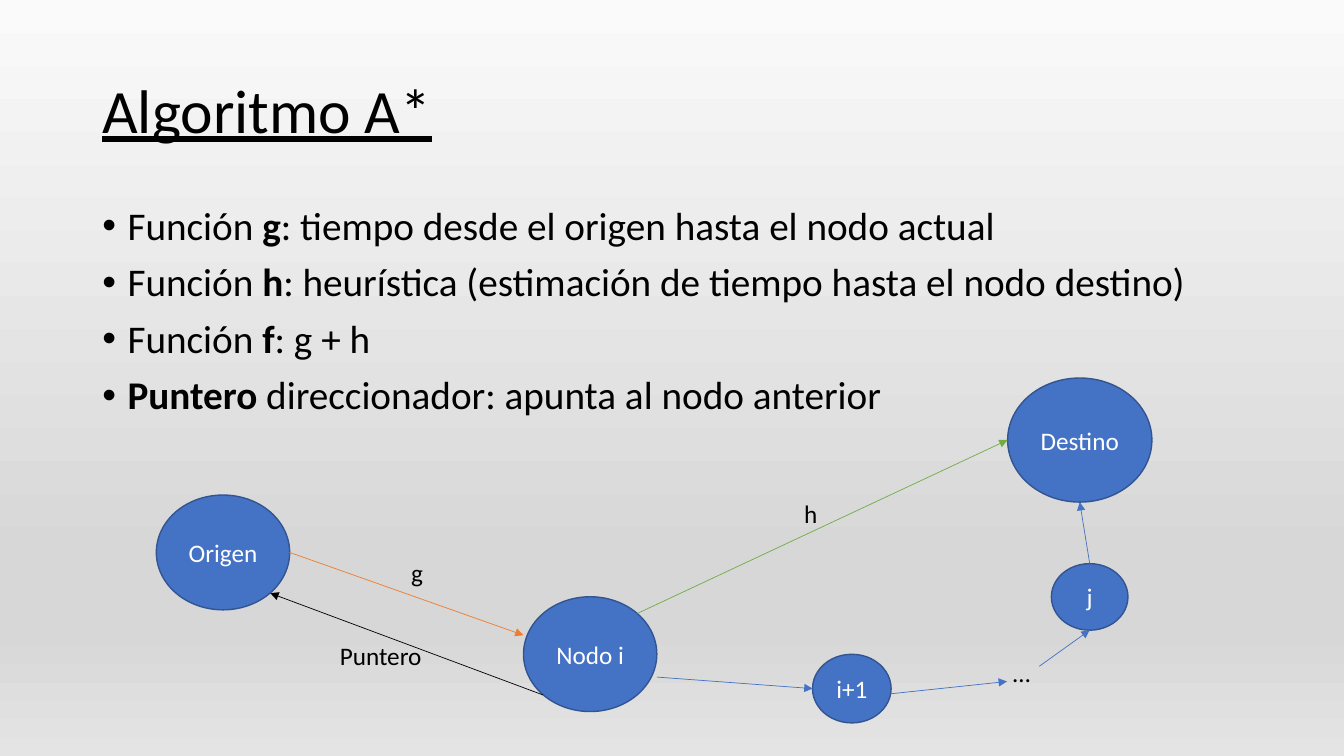
from pptx import Presentation
from pptx.util import Inches, Pt
from pptx.dml.color import RGBColor
from pptx.enum.shapes import MSO_SHAPE, MSO_CONNECTOR
from pptx.enum.text import MSO_ANCHOR, PP_ALIGN
from pptx.oxml.ns import qn
from lxml.etree import SubElement

WIDE, HIGH = Inches(13.33), Inches(7.5)
BLACK, WHITE, BLUE, EDGE = "000000", "FFFFFF", "4472C4", "325491"
ORANGE, GREEN = "ED7D31", "70AD47"

STOPS = [(0, "FAFAFA"), (74, "D7D7D7"), (83, "D7D7D7"), (100, "E4E4E4")]
POINTS = [
    [("Función ", False), ("g", True),
     (": tiempo desde el origen hasta el nodo actual", False)],
    [("Función ", False), ("h", True),
     (": heurística (estimación de tiempo hasta el nodo destino)", False)],
    [("Función ", False), ("f", True), (": g + h", False)],
    [("Puntero", True), (" direccionador: apunta al nodo anterior", False)],
]

# centre x, centre y, width, height in percent of the diagram
NODES = {
    "Origen": (6.7, 50.6, 13.4, 33.3),
    "Nodo i": (43.6, 80.1, 13.4, 33.3),
    "Destino": (92.8, 18, 14.5, 36),
    "j": (93.8, 63.5, 7.7, 19.3),
    "i+1": (69.9, 90.1, 7.9, 19.9),
}
LABELS = {
    "g": (28.5, 56.4, 7.8, 11.7),
    "h": (68, 39.2, 7.8, 11.7),
    "Puntero": (22.7, 80.4, 10.5, 11.7),
    "…": (86.9, 85.4, 5.9, 11.7),
}
# each end: name, then offset from its centre in half widths and half heights
LINKS = [
    (("Origen", 1, 0), ("Nodo i", -1, -0.33), ORANGE),
    (("Nodo i", 1, 0.4), ("i+1", -1, 0), BLUE),
    (("i+1", 1, 0.15), ("…", -0.48, 0.45), BLUE),
    (("j", 0, -1), ("Destino", 0, 1), BLUE),
    (("…", 0.62, -0.3), ("j", 0, 1), BLUE),
    (("Nodo i", 0.71, -0.71), ("Destino", -1, 0), GREEN),
    (("Nodo i", -0.71, 0.71), ("Origen", 0.71, 0.71), BLACK),
]


def tint(spot, code):
    spot.rgb = RGBColor.from_string(code)


def share(x, y, w, h):
    return (round(WIDE * x / 100), round(HIGH * y / 100),
            round(WIDE * w / 100), round(HIGH * h / 100))


def style(run, size, code=BLACK, bold=False):
    run.font.name = "Calibri"
    run.font.size = Pt(size)
    run.font.bold = bold
    tint(run.font.color, code)


def paint(slide):
    fill = slide.background.fill
    fill.gradient()
    fill.gradient_angle = 270
    stops = next(slide.element.iter(qn("a:gsLst")))
    for stop in list(stops):
        stops.remove(stop)
    for place, code in STOPS:
        stop = SubElement(stops, qn("a:gs"), pos=str(place * 1000))
        SubElement(stop, qn("a:srgbClr"), val=code)


def title(slide, box):
    frame = slide.shapes.add_textbox(*box).text_frame
    frame.word_wrap = True
    frame.vertical_anchor = MSO_ANCHOR.MIDDLE
    para = frame.paragraphs[0]
    para.text = "Algoritmo A*"
    para.line_spacing = 0.9
    style(para.runs[0], 44)
    para.runs[0].font.underline = True


def bullets(slide, box):
    frame = slide.shapes.add_textbox(*box).text_frame
    frame.word_wrap = True
    for i, parts in enumerate(POINTS):
        para = frame.add_paragraph() if i else frame.paragraphs[0]
        para.line_spacing = 0.9
        para.space_before = Pt(10)
        props = para._p.get_or_add_pPr()
        props.set("marL", str(Inches(0.25)))
        props.set("indent", str(-Inches(0.25)))
        SubElement(props, qn("a:buFont"), typeface="Arial")
        SubElement(props, qn("a:buChar"), char="•")
        for words, bold in parts:
            run = para.add_run()
            run.text = words
            style(run, 28, BLACK, bold)


def inside(box, spot):
    left, top, wide, high = box
    x, y, w, h = spot
    return (round(left + wide * (x - w / 2) / 100),
            round(top + high * (y - h / 2) / 100),
            round(wide * w / 100), round(high * h / 100))


def node(slide, box, name):
    oval = slide.shapes.add_shape(MSO_SHAPE.OVAL, *box)
    oval.shadow.inherit = False
    oval.fill.solid()
    tint(oval.fill.fore_color, BLUE)
    tint(oval.line.color, EDGE)
    oval.line.width = Pt(1)
    frame = oval.text_frame
    frame.text = name
    frame.word_wrap = False
    frame.vertical_anchor = MSO_ANCHOR.MIDDLE
    frame.paragraphs[0].alignment = PP_ALIGN.CENTER
    style(frame.paragraphs[0].runs[0], 18, WHITE)


def label(slide, box, name):
    frame = slide.shapes.add_textbox(*box).text_frame
    frame.word_wrap = True
    frame.text = name
    if name == "…":
        frame.margin_left = Inches(0.21)
    style(frame.paragraphs[0].runs[0], 18)


def arrow(slide, start, end, code):
    link = slide.shapes.add_connector(MSO_CONNECTOR.STRAIGHT, *start, *end)
    tint(link.line.color, code)
    link.line.width = Pt(0.5)
    SubElement(link.line._get_or_add_ln(), qn("a:tailEnd"), type="triangle")
    SubElement(link._element.spPr, qn("a:effectLst"))


def diagram(slide, box):
    spots = {name: inside(box, spot)
             for name, spot in {**NODES, **LABELS}.items()}

    def point(name, dx, dy):
        x, y, w, h = spots[name]
        return round(x + w * (1 + dx) / 2), round(y + h * (1 + dy) / 2)

    for name in NODES:
        node(slide, spots[name], name)
    for start, end, code in LINKS:
        arrow(slide, point(*start), point(*end), code)
    for name in LABELS:
        label(slide, spots[name], name)


def main():
    deck = Presentation()
    deck.slide_width, deck.slide_height = WIDE, HIGH
    slide = deck.slides.add_slide(deck.slide_layouts[6])
    paint(slide)
    title(slide, share(6.88, 5.33, 86.25, 19.33))
    bullets(slide, share(6.88, 26.67, 86.25, 63.47))
    diagram(slide, share(11.63, 50, 74.04, 45.6))
    deck.save("out.pptx")


if __name__ == "__main__":
    main()
